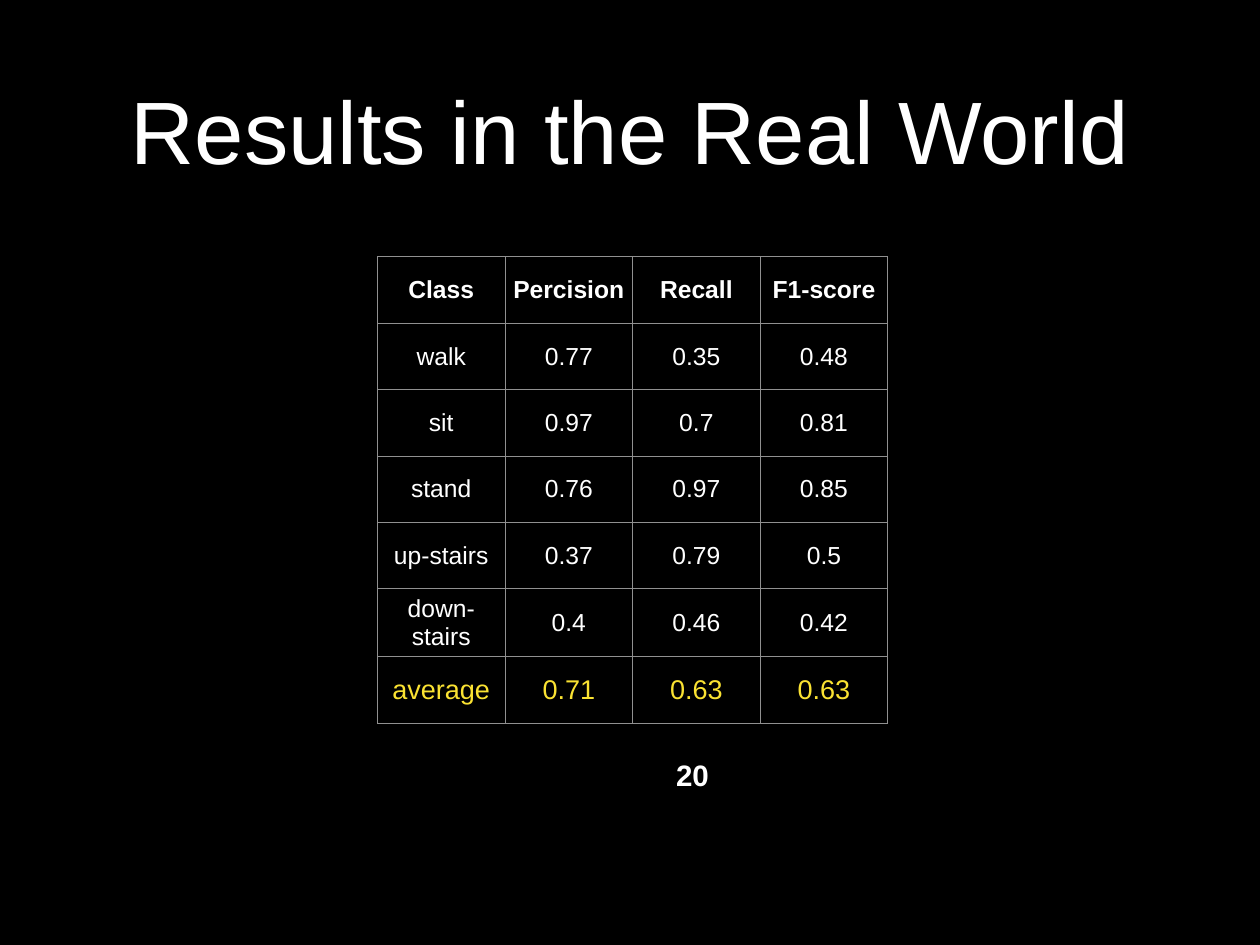
from dataclasses import dataclass

from lxml import etree
from pptx import Presentation
from pptx.dml.color import RGBColor
from pptx.enum.text import MSO_ANCHOR, PP_ALIGN
from pptx.oxml.ns import qn
from pptx.slide import Slide
from pptx.table import _Cell
from pptx.text.text import TextFrame
from pptx.util import Inches, Pt

CENTER = PP_ALIGN.CENTER
MIDDLE = MSO_ANCHOR.MIDDLE


@dataclass(frozen=True)
class Theme:
    """Colours, type sizes and spacing of the slide."""
    font: str = "Arial"
    background: str = "000000"
    text: str = "FFFFFF"
    highlight: str = "FAE232"
    border: str = "909090"
    border_width: int = Pt(1)
    title_size: int = 72
    body_size: int = 20
    average_size: int = 22
    number_size: int = 24
    inset: int = Inches(0.06)
    cell_inset: int = Inches(0.05)


@dataclass(frozen=True)
class TextStyle:
    """Size, colour and weight of a text."""
    size: int
    color: str
    bold: bool = False


@dataclass(frozen=True)
class Label:
    """A centred text box with its place in inches."""
    text: str
    left: float
    top: float
    width: float
    height: float
    style: TextStyle
    wrap: bool = True


THEME = Theme()
HEADER = TextStyle(THEME.body_size, THEME.text, True)
BODY = TextStyle(THEME.body_size, THEME.text)
AVERAGE = TextStyle(THEME.average_size, THEME.highlight)

LABELS = [
    Label("Results in the Real World", 1.04, 0.28, 12.14, 2.36,
          TextStyle(THEME.title_size, THEME.text)),
    Label("20", 7.57, 8.49, 0.49, 0.52,
          TextStyle(THEME.number_size, THEME.text, True), False),
]

SCORES = [
    ("Class", "Percision", "Recall", "F1-score"),
    ("walk", "0.77", "0.35", "0.48"),
    ("sit", "0.97", "0.7", "0.81"),
    ("stand", "0.76", "0.97", "0.85"),
    ("up-stairs", "0.37", "0.79", "0.5"),
    ("down-stairs", "0.4", "0.46", "0.42"),
    ("average", "0.71", "0.63", "0.63"),
]
ROW_STYLES = [HEADER] + [BODY] * (len(SCORES) - 2) + [AVERAGE]
TABLE_LEFT, TABLE_TOP = Inches(4.26), Inches(2.9)
COLUMN_WIDTH, ROW_HEIGHT = Inches(1.44), Inches(0.75)


def write(tf: TextFrame, text: str, style: TextStyle) -> None:
    """Put one centred, formatted paragraph in a text frame."""
    tf.text = text
    p = tf.paragraphs[0]
    p.alignment = CENTER
    font = p.runs[0].font
    font.name, font.size, font.bold = THEME.font, Pt(style.size), style.bold
    font.color.rgb = RGBColor.from_string(style.color)


def add_label(s: Slide, label: Label) -> None:
    """Draw a text box."""
    sp = s.shapes.add_textbox(Inches(label.left), Inches(label.top),
                              Inches(label.width), Inches(label.height))
    tf = sp.text_frame
    tf.word_wrap = label.wrap
    tf.vertical_anchor = MIDDLE
    tf.margin_left = tf.margin_right = THEME.inset
    tf.margin_top = tf.margin_bottom = THEME.inset
    write(tf, label.text, label.style)


def add_borders(cell: _Cell) -> None:
    """Give a cell a thin line on all four sides."""
    tcPr = cell._tc.get_or_add_tcPr()
    for side in ("a:lnL", "a:lnR", "a:lnT", "a:lnB"):
        ln = etree.SubElement(tcPr, qn(side), w=str(THEME.border_width))
        fill = etree.SubElement(ln, qn("a:solidFill"))
        etree.SubElement(fill, qn("a:srgbClr"), val=THEME.border)


def fill_cell(cell: _Cell, text: str, style: TextStyle) -> None:
    """Write and format one table cell."""
    cell.vertical_anchor = MIDDLE
    cell.margin_left = cell.margin_right = THEME.inset
    cell.margin_top = cell.margin_bottom = THEME.cell_inset
    write(cell.text_frame, text, style)
    add_borders(cell)
    cell.fill.solid()
    cell.fill.fore_color.rgb = RGBColor.from_string(THEME.background)


def add_scores(s: Slide) -> None:
    """Draw the table of scores per class."""
    rows, columns = len(SCORES), len(SCORES[0])
    table = s.shapes.add_table(rows, columns, TABLE_LEFT, TABLE_TOP,
                               COLUMN_WIDTH * columns, ROW_HEIGHT * rows).table
    table.first_row = table.horz_banding = False
    for i, (texts, style) in enumerate(zip(SCORES, ROW_STYLES)):
        for j, text in enumerate(texts):
            fill_cell(table.cell(i, j), text, style)


def main() -> None:
    """Build and save the slide."""
    prs = Presentation()
    prs.slide_width, prs.slide_height = Inches(14.22), Inches(10.67)
    s = prs.slides.add_slide(prs.slide_layouts[6])
    s.background.fill.solid()
    s.background.fill.fore_color.rgb = RGBColor.from_string(THEME.background)
    title, number = LABELS
    add_label(s, title)
    add_scores(s)
    add_label(s, number)
    prs.save("out.pptx")


main()
